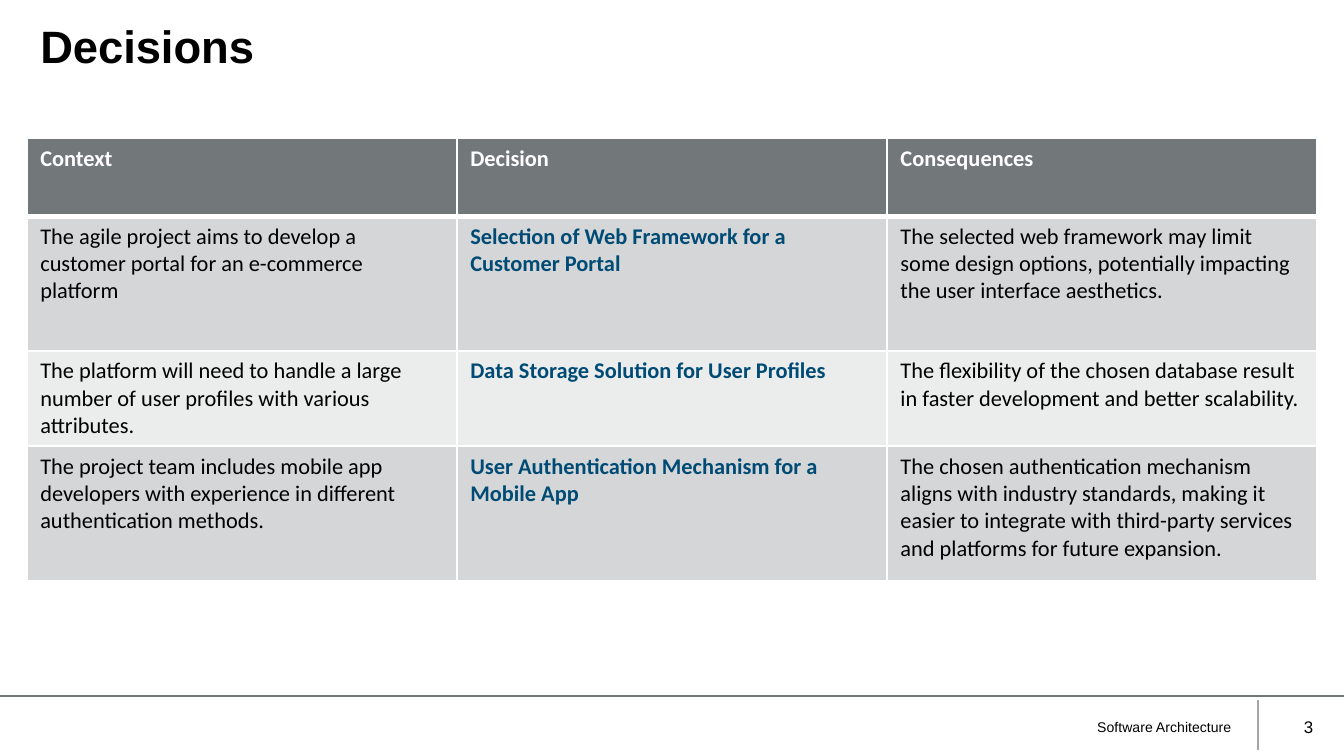
"""Build the Decisions slide with its table of architecture decisions."""
from typing import NamedTuple

from lxml import etree
from pptx import Presentation
from pptx.dml.color import RGBColor
from pptx.enum import shapes, text
from pptx.oxml import ns
from pptx.util import Inches, Pt

BLACK, WHITE, GREY, BLUE = "000000", "FFFFFF", "72777A", "004B75"
BANDS = ("D5D6D7", "EBECEC")


class Decision(NamedTuple):
    context: str
    decision: str
    consequences: str
    height: float


class Rule(NamedTuple):
    x1: float
    y1: float
    x2: float
    y2: float
    color: str


class Footer(NamedTuple):
    label: str
    left: float
    width: float
    size: float


HEADER = Decision("Context", "Decision", "Consequences", 0.58)
DECISIONS = [
    Decision("The agile project aims to develop a customer portal for an e-commerce platform",
             "Selection of Web Framework for a Customer Portal",
             "The selected web framework may limit some design options, "
             "potentially impacting the user interface aesthetics.", 1),
    Decision("The platform will need to handle a large number of user profiles "
             "with various attributes.",
             "Data Storage Solution for User Profiles",
             "The flexibility of the chosen database result in faster development "
             "and better scalability.", 0.71),
    Decision("The project team includes mobile app developers with experience in "
             "different authentication methods.",
             "User Authentication Mechanism for a Mobile App",
             "The chosen authentication mechanism aligns with industry standards, "
             "making it easier to integrate with third-party services and platforms "
             "for future expansion.", 1),
]
RULES = [Rule(9.36, 5.21, 9.36, 5.58, "A6A6A6"), Rule(0, 5.18, 10, 5.18, GREY)]
FOOTERS = [Footer("Software Architecture", 3.05, 6.21, 7.5), Footer("3", 9.34, 0.53, 9)]


def rgb(color: str) -> RGBColor:
    return RGBColor.from_string(color)


def write(tf, label: str, *, size: float, font: str = "Arial", color: str = BLACK,
          bold: bool = False, align=text.PP_ALIGN.LEFT, anchor=text.MSO_ANCHOR.TOP,
          spacing: float = 1.0) -> None:
    tf.word_wrap = True
    tf.vertical_anchor = anchor
    p = tf.paragraphs[0]
    p.alignment, p.line_spacing = align, spacing
    r = p.add_run()
    r.text = label
    r.font.size, r.font.name, r.font.bold = Pt(size), font, bold
    r.font.color.rgb = rgb(color)


def draw_rule(s, rule: Rule) -> None:
    line = s.shapes.add_connector(shapes.MSO_CONNECTOR.STRAIGHT,
                                  *map(Inches, (rule.x1, rule.y1, rule.x2, rule.y2)))
    line.line.color.rgb = rgb(rule.color)
    line.line.width = Pt(1)
    etree.SubElement(line._element.spPr, ns.qn("a:effectLst"))


def draw_footer(s, footer: Footer) -> None:
    sp = s.shapes.add_textbox(*map(Inches, (footer.left, 5.26, footer.width, 0.3)))
    write(sp.text_frame, footer.label, size=footer.size,
          align=text.PP_ALIGN.RIGHT, anchor=text.MSO_ANCHOR.MIDDLE)


def set_borders(cell, **widths: float) -> None:
    tc_pr = cell._tc.get_or_add_tcPr()
    for i, (side, width) in enumerate(widths.items()):
        ln = etree.Element(ns.qn(f"a:ln{side}"), w=str(Pt(width)))
        fill = etree.SubElement(ln, ns.qn("a:solidFill"))
        etree.SubElement(fill, ns.qn("a:srgbClr"), val=WHITE)
        tc_pr.insert(i, ln)


def draw_table(s, rows: list[Decision]) -> None:
    height = sum(row.height for row in rows)
    table = s.shapes.add_table(len(rows), 3, *map(Inches, (0.2, 1.03, 9.6, height))).table
    for i, row in enumerate(rows):
        table.rows[i].height = Inches(row.height)
        header = i == 0
        for j, label in enumerate(row[:3]):
            cell = table.cell(i, j)
            cell.fill.solid()
            cell.fill.fore_color.rgb = rgb(GREY if header else BANDS[(i - 1) % 2])
            color = WHITE if header else BLUE if j == 1 else BLACK
            write(cell.text_frame, label, size=12, font="Calibri", color=color,
                  bold=header or j == 1)
            set_borders(cell, L=1, R=1, T=3 if i == 1 else 1, B=3 if header else 1)


def main() -> None:
    prs = Presentation()
    prs.slide_width, prs.slide_height = Inches(10), Inches(10 * 9 / 16)
    s = prs.slides.add_slide(prs.slide_layouts[5])
    title = s.shapes.title
    title.left, title.top, title.width, title.height = map(Inches, (0.2, 0.13, 9.6, 0.48))
    write(title.text_frame, "Decisions", size=24.3, bold=True, spacing=0.9)
    for rule in RULES:
        draw_rule(s, rule)
    for footer in FOOTERS:
        draw_footer(s, footer)
    draw_table(s, [HEADER, *DECISIONS])
    prs.save("out.pptx")


if __name__ == "__main__":
    main()
